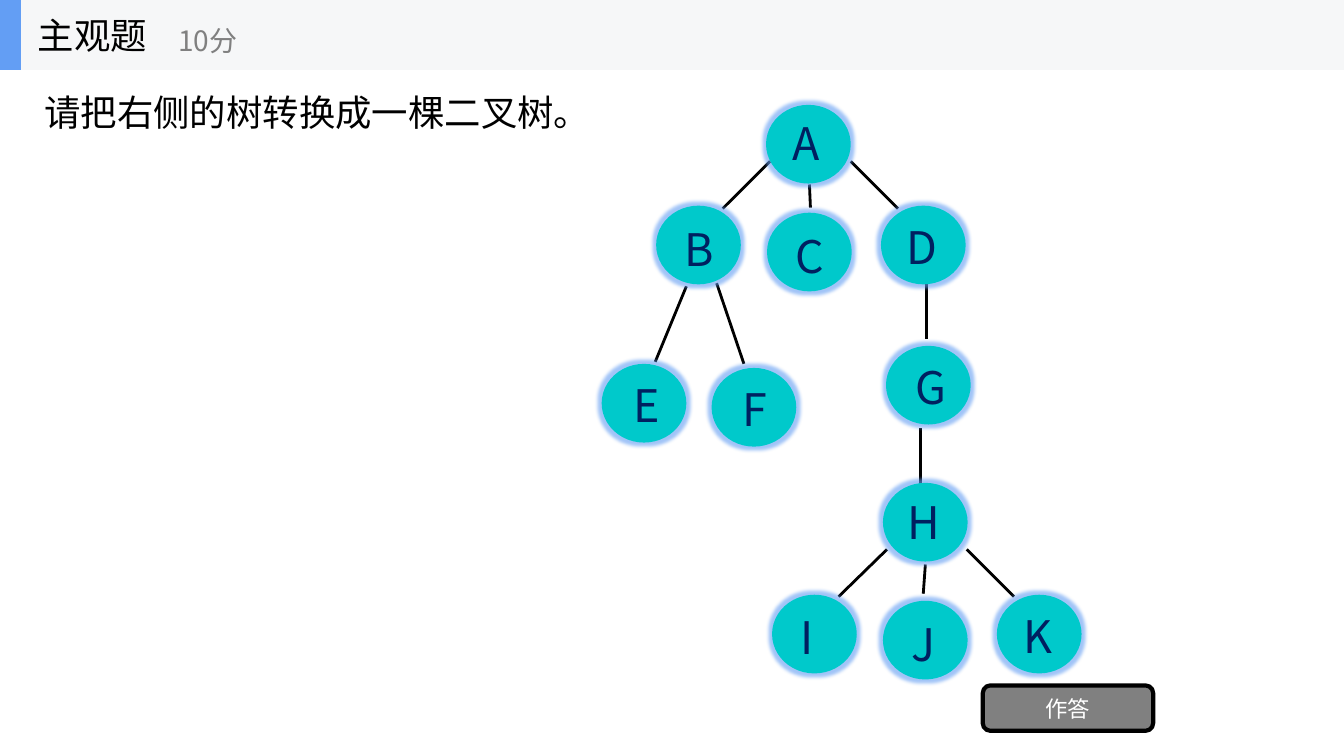
from dataclasses import dataclass

from lxml import etree
from pptx import Presentation
from pptx.dml.color import RGBColor
from pptx.enum import shapes, text
from pptx.oxml import ns
from pptx.util import Pt


@dataclass(frozen=True)
class Theme:
    font: str = "Noto Sans CJK SC"
    ink: str = "000000"
    gray: str = "808080"
    white: str = "FFFFFF"
    bar: str = "F6F7F8"
    blue: str = "639EF4"
    teal: str = "00C9CB"
    navy: str = "002060"
    title: int = 26
    score: int = 20
    button: int = 16
    letter: int = 32


THEME = Theme()
OVAL = (60.5, 56.2)
LABEL = (45, 46)

# Letter: oval left, top, then label offset from the oval
NODES = {
    "A": (547.2, 74.9, 11.5, 4.3),
    "B": (468.7, 146.9, 13, 7.9),
    "C": (547.9, 151.9, 13, 7.9),
    "D": (629.3, 146.9, 11.5, 6.5),
    "E": (429.8, 259.9, 15.9, 6.5),
    "F": (508.3, 262.8, 15.1, 6.5),
    "G": (632.9, 247, 13.7, 6.4),
    "H": (630.7, 344.9, 10.8, 5),
    "I": (551.5, 424.8, 13, 7.2),
    "J": (630.7, 429.1, 13, 7.9),
    "K": (712.1, 424.8, 12.2, 6.5),
}

# Branches of the tree, from parent to child
EDGES = [
    (550.1, 115.2, 516.2, 149),      # A-B
    (578.2, 131.8, 578.9, 148.3),    # A-C
    (607.7, 115.2, 641.5, 149),      # A-D
    (490.3, 204.5, 468, 258.5),      # B-E
    (511.9, 202.3, 531.4, 259.9),    # B-F
    (661.7, 203, 661.7, 241.9),      # D-G
    (657.4, 306, 657.4, 355),        # G-H
    (633.6, 392.4, 599, 426.2),      # H-I
    (661, 403.2, 659.5, 424.1),      # H-J
    (690.5, 392.4, 724.3, 426.2),    # H-K
]


def color(code):
    return RGBColor.from_string(code)


def write(frame, words, size, tint, align=text.PP_ALIGN.LEFT):
    para = frame.paragraphs[0]
    para.alignment = align
    run = para.add_run()
    run.text = words
    font = run.font
    font.size, font.name = Pt(size), THEME.font
    font.color.rgb = color(tint)
    props = run._r.get_or_add_rPr()
    etree.SubElement(props, ns.qn("a:ea"), typeface=THEME.font)


def add_text(slide, box, words, size, tint, middle=True, wrap=True):
    frame = slide.shapes.add_textbox(*map(Pt, box)).text_frame
    frame.word_wrap = wrap
    if middle:
        frame.vertical_anchor = text.MSO_ANCHOR.MIDDLE
    else:
        frame.auto_size = text.MSO_AUTO_SIZE.SHAPE_TO_FIT_TEXT
    write(frame, words, size, tint)


def add_shape(slide, kind, box, fill):
    shape = slide.shapes.add_shape(kind, *map(Pt, box))
    shape.shadow.inherit = False
    shape.fill.solid()
    shape.fill.fore_color.rgb = color(fill)
    shape.line.fill.background()
    return shape


def add_glow(shape):
    effects = shape._element.spPr.find(ns.qn("a:effectLst"))
    glow = etree.SubElement(effects, ns.qn("a:glow"), rad=str(Pt(5)))
    tint = etree.SubElement(glow, ns.qn("a:srgbClr"), val=THEME.blue)
    etree.SubElement(tint, ns.qn("a:alpha"), val="60000")


def add_edge(slide, ends):
    line = slide.shapes.add_connector(
        shapes.MSO_CONNECTOR.STRAIGHT, *map(Pt, ends))
    line.line.width = Pt(2)
    line.line.color.rgb = color(THEME.ink)
    etree.SubElement(line._element.spPr, ns.qn("a:effectLst"))


def add_node(slide, letter, left, top, right, down):
    oval = add_shape(slide, shapes.MSO_SHAPE.OVAL,
                     (left, top, *OVAL), THEME.teal)
    add_glow(oval)
    add_text(slide, (left + right, top + down, *LABEL), letter,
             THEME.letter, THEME.navy, middle=False)


def add_button(slide, box, words):
    shape = add_shape(slide, shapes.MSO_SHAPE.ROUNDED_RECTANGLE,
                      box, THEME.gray)
    shape.line.width = Pt(3)
    shape.line.color.rgb = color(THEME.ink)
    shape.text_frame.vertical_anchor = text.MSO_ANCHOR.MIDDLE
    write(shape.text_frame, words, THEME.button, THEME.white,
          text.PP_ALIGN.CENTER)


def main():
    deck = Presentation()
    deck.slide_width, deck.slide_height = Pt(960), Pt(540)
    slide = deck.slides.add_slide(deck.slide_layouts[6])

    # Question and answer button
    add_text(slide, (24.5, 31, 768, 97.2), "请把右侧的树转换成一棵二叉树。",
             THEME.title, THEME.ink)
    add_button(slide, (702, 489.6, 121.7, 32.4), "作答")

    # Tree
    for ends in EDGES:
        add_edge(slide, ends)
    for letter, place in NODES.items():
        add_node(slide, letter, *place)

    # Header bar
    for width, fill in ((960, THEME.bar), (15, THEME.blue)):
        add_shape(slide, shapes.MSO_SHAPE.RECTANGLE,
                  (0, 0, width, 50), fill)
    add_text(slide, (20, 0, 150, 50), "主观题",
             THEME.title, THEME.ink, wrap=False)
    add_text(slide, (120.2, 8.6, 180, 40.3), "10分",
             THEME.score, THEME.gray, wrap=False)

    deck.save("out.pptx")


if __name__ == "__main__":
    main()
